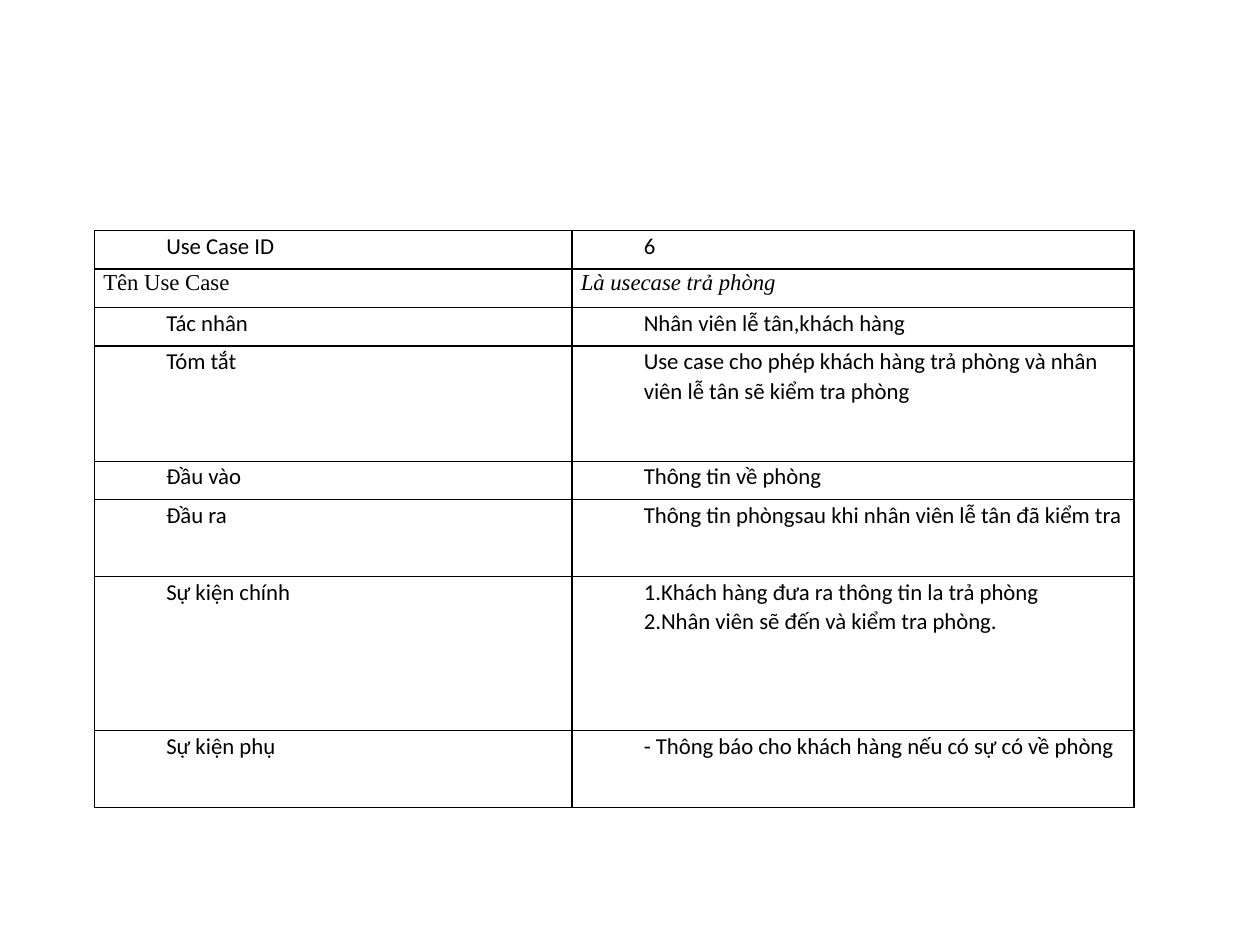
from lxml.etree import SubElement
from pptx import Presentation
from pptx.dml.color import RGBColor
from pptx.oxml.ns import qn
from pptx.util import Inches, Pt

BLACK = RGBColor(0, 0, 0)
ROW_UNIT = 4.58 / 15
COLUMN_WIDTHS = (3.79, 4.46)

# Label, description lines, height in row units
USE_CASE = [
    ("Use Case ID", ["6"], 1),
    ("Tên Use Case", ["Là usecase trả phòng"], 1),
    ("Tác nhân", ["Nhân viên lễ tân,khách hàng"], 1),
    ("Tóm tắt", ["Use case cho phép khách hàng trả phòng và nhân viên lễ tân "
                 "sẽ kiểm tra phòng"], 3),
    ("Đầu vào", ["Thông tin về phòng"], 1),
    ("Đầu ra", ["Thông tin phòngsau khi nhân viên lễ tân đã kiểm tra"], 2),
    ("Sự kiện chính", ["1.Khách hàng đưa ra thông tin la trả phòng",
                       "2.Nhân viên sẽ đến và kiểm tra phòng."], 4),
    ("Sự kiện phụ", ["- Thông báo cho khách hàng nếu có sự có về phòng"], 2),
]
NAME_ROW = 1


def add_borders(cell):
    properties = cell._tc.get_or_add_tcPr()
    for side in ("a:lnL", "a:lnR", "a:lnT", "a:lnB"):
        line = SubElement(properties, qn(side), w=str(Pt(1)))
        fill = SubElement(line, qn("a:solidFill"))
        SubElement(fill, qn("a:srgbClr"), val=str(BLACK))


def fill_cell(cell, lines, font_name="Calibri", indent=0.5, italic=False):
    cell.margin_left = cell.margin_right = Inches(0.07)
    cell.margin_top = cell.margin_bottom = 0
    add_borders(cell)
    cell.fill.background()
    cell.text = "\n".join(lines)
    for paragraph in cell.text_frame.paragraphs:
        paragraph.line_spacing = 1.07
        paragraph.font.name = font_name
        paragraph.font.size = Pt(13)
        paragraph.font.italic = italic
        paragraph.font.color.rgb = BLACK
        properties = paragraph._p.get_or_add_pPr()
        properties.set("marL", str(Inches(indent)))
        properties.set("indent", "0")


def add_use_case_table(slide):
    table = slide.shapes.add_table(
        len(USE_CASE), len(COLUMN_WIDTHS),
        Inches(0.75), Inches(1.83), Inches(8.25), Inches(4.58)).table
    table.first_row = table.horz_banding = False
    for column, width in zip(table.columns, COLUMN_WIDTHS):
        column.width = Inches(width)
    for index, (label, description, units) in enumerate(USE_CASE):
        table.rows[index].height = Inches(units * ROW_UNIT)
        is_name = index == NAME_ROW
        # The name row is set flush left in a serif face
        style = {"font_name": "Times New Roman", "indent": 0} if is_name else {}
        fill_cell(table.cell(index, 0), [label], **style)
        fill_cell(table.cell(index, 1), description, italic=is_name, **style)


def main():
    presentation = Presentation()
    presentation.slide_width = Inches(10)
    presentation.slide_height = Inches(7.5)
    slide = presentation.slides.add_slide(presentation.slide_layouts[6])
    add_use_case_table(slide)
    presentation.save("out.pptx")


if __name__ == "__main__":
    main()
